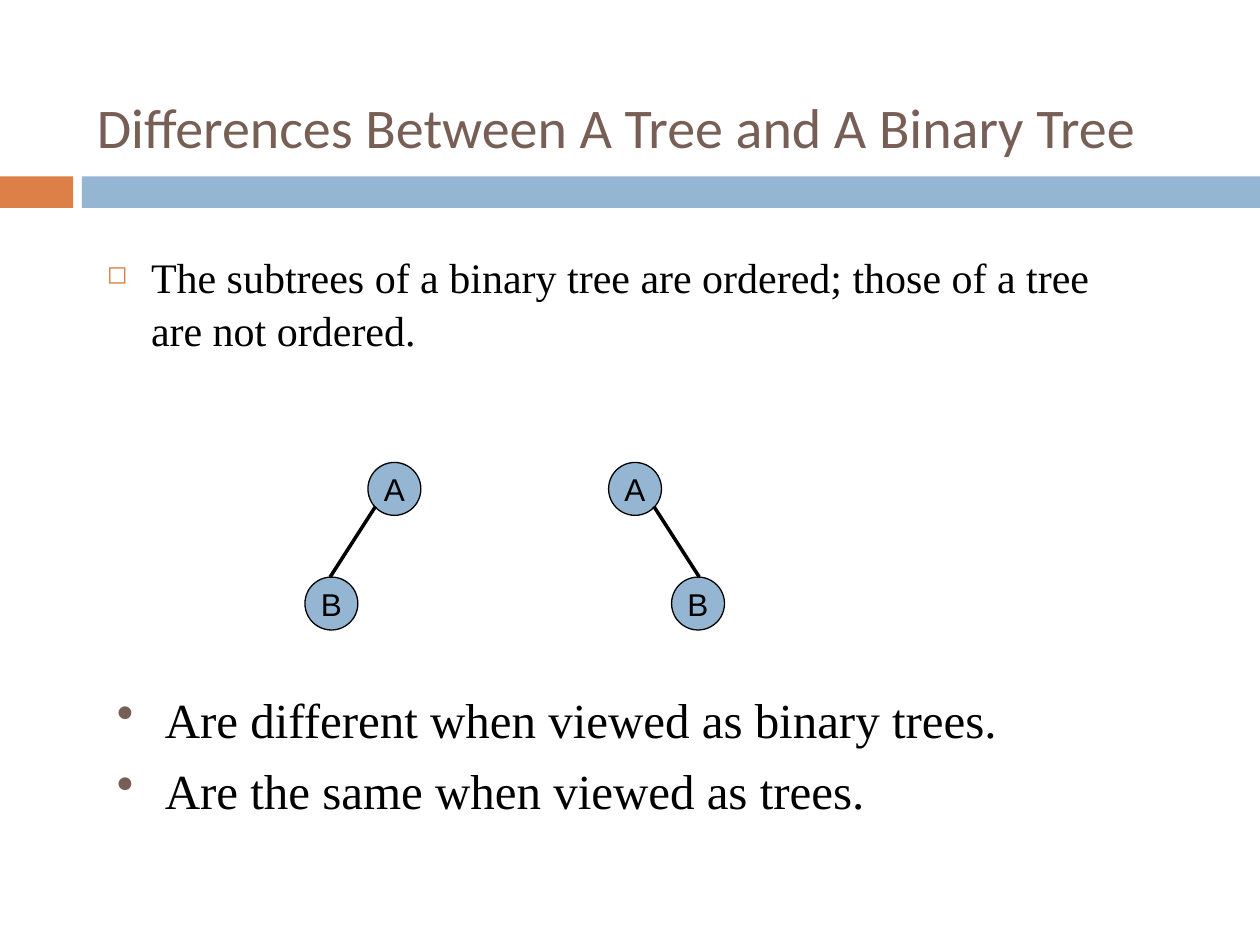
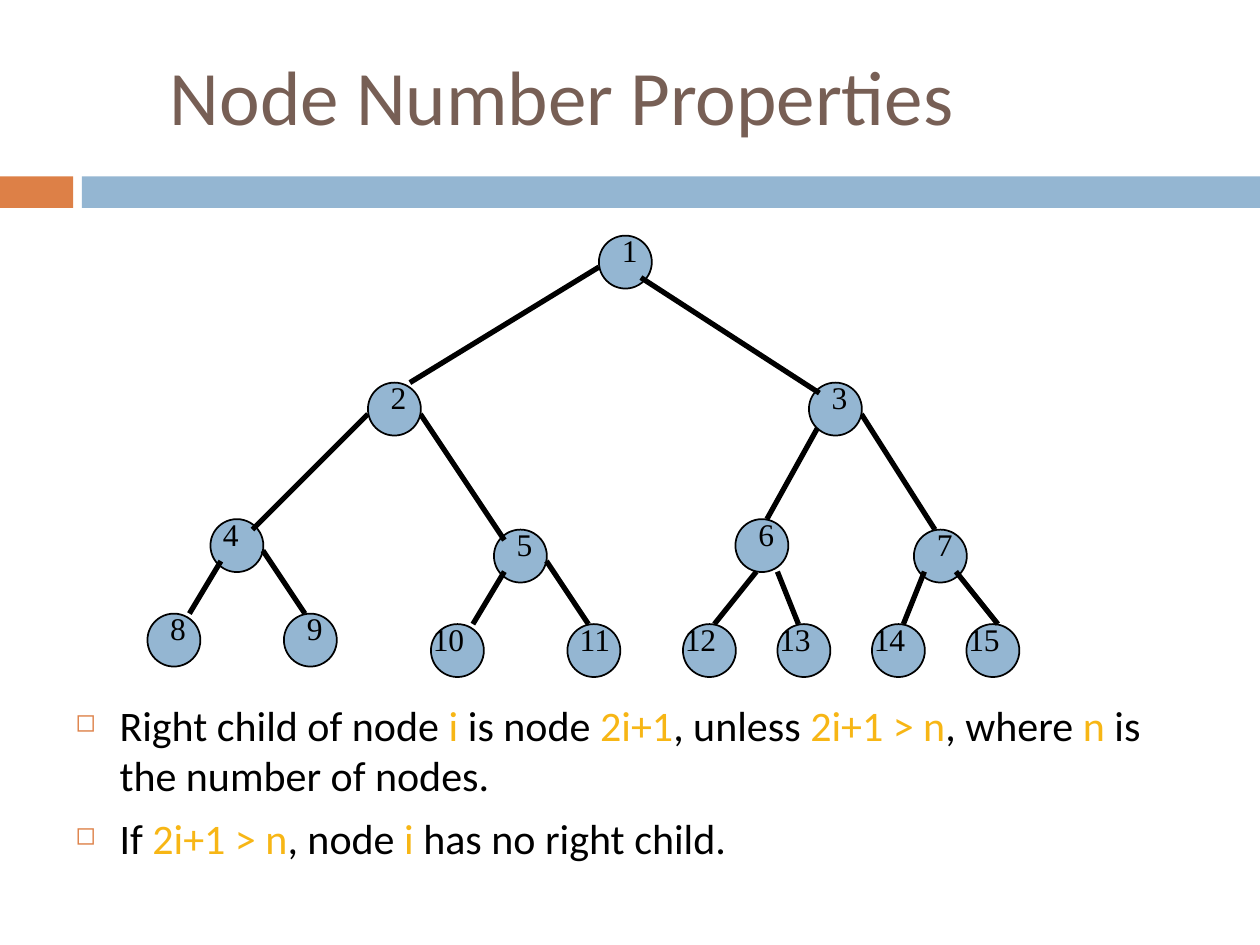
from lxml.etree import SubElement
from pptx import Presentation
from pptx.dml.color import RGBColor
from pptx.enum.shapes import MSO_CONNECTOR, MSO_SHAPE
from pptx.enum.text import MSO_ANCHOR, PP_ALIGN
from pptx.oxml.ns import qn
from pptx.util import Inches, Pt

BLACK = RGBColor(0x00, 0x00, 0x00)
BROWN = RGBColor(0x77, 0x5F, 0x55)
ORANGE = RGBColor(0xDD, 0x80, 0x47)
BLUE = RGBColor(0x94, 0xB6, 0xD2)
GOLD = RGBColor(0xF7, 0xB6, 0x15)
SANS, SERIF, NODE_FONT = "Calibri", "Times New Roman", "Arial"

NODE_SIZE = 0.42
GRID = 1 / 12  # the numbered tree sits on a grid of twelfths of an inch

# Left and top of each numbered node, in grid steps
TREE_NODES = {
    1: (43, 0), 2: (21, 14), 3: (63, 14),
    4: (6, 27), 5: (33, 28), 6: (56, 27), 7: (73, 28),
    8: (0, 36), 9: (13, 36), 10: (27, 37), 11: (40, 37),
    12: (51, 37), 13: (60, 37), 14: (69, 37), 15: (78, 37),
}
# Start and end of the edge that leads to each child, in grid steps
TREE_EDGES = {
    2: (43, 3, 25, 14), 3: (47, 4, 64, 15),
    4: (21, 17, 10, 28), 5: (26, 17, 34, 29),
    6: (64, 18, 59, 27), 7: (68, 17, 75, 28),
    8: (7, 31, 4, 36), 9: (11, 30, 15, 36),
    10: (34, 32, 31, 37), 11: (38, 31, 42, 37),
    12: (58, 32, 54, 37), 13: (60, 32, 62, 37),
    14: (74, 32, 72, 37), 15: (77, 32, 81, 37),
}
# Levels from back to front
DRAWING_ORDER = (range(4, 8), range(1, 4), range(8, 16))
LABELS_AT_NODE_LEFT = (4, 11)


def add_bullet(para, char, color, indent, percent):
    properties = para._p.get_or_add_pPr()
    properties.set("marL", str(Inches(indent)))
    properties.set("indent", str(-Inches(indent)))
    bullet_color = SubElement(properties, qn("a:buClr"))
    SubElement(bullet_color, qn("a:srgbClr"), val=str(color))
    SubElement(properties, qn("a:buSzPct"), val=str(percent * 1000))
    SubElement(properties, qn("a:buChar"), char=char)


def write(frame, *texts, font=SANS, size=24, color=BLACK, bullet=None,
          gap=0, line_spacing=None, align=None):
    """Write one paragraph per text; parts between asterisks turn gold."""
    for index, text in enumerate(texts):
        para = frame.add_paragraph() if index else frame.paragraphs[0]
        if bullet:
            add_bullet(para, **bullet)
        para.space_before = Pt(gap if index else 0)
        para.alignment = align
        if line_spacing:
            para.line_spacing = line_spacing
        for part, words in enumerate(text.split("*")):
            if not words:
                continue
            span = para.add_run()
            span.text = words
            span.font.name = font
            span.font.size = Pt(size)
            span.font.color.rgb = GOLD if part % 2 else color


def add_text(page, box, *texts, anchor=MSO_ANCHOR.TOP, **style):
    frame = page.shapes.add_textbox(*map(Inches, box)).text_frame
    frame.word_wrap = True
    frame.vertical_anchor = anchor
    write(frame, *texts, **style)


def add_plain_shape(page, kind, box, fill, line_width=None):
    shape = page.shapes.add_shape(kind, *map(Inches, box))
    shape.shadow.inherit = False
    shape.fill.solid()
    shape.fill.fore_color.rgb = fill
    if line_width:
        shape.line.color.rgb = BLACK
        shape.line.width = Pt(line_width)
    else:
        shape.line.fill.background()
    return shape


def add_node(page, left, top, line_width):
    box = (left, top, NODE_SIZE, NODE_SIZE)
    return add_plain_shape(page, MSO_SHAPE.OVAL, box, BLUE, line_width)


def add_edge(page, ends, width):
    edge = page.shapes.add_connector(MSO_CONNECTOR.STRAIGHT, *map(Inches, ends))
    edge.line.color.rgb = BLACK
    edge.line.width = Pt(width)
    SubElement(edge._element.spPr, qn("a:effectLst"))


def add_page(deck, title, title_box, title_size):
    """Add a slide with the two-part band and its title."""
    page = deck.slides.add_slide(deck.slide_layouts[6])
    for left, width, fill in ((0, 0.58, ORANGE), (0.65, 9.35, BLUE)):
        add_plain_shape(page, MSO_SHAPE.RECTANGLE, (left, 1.4, width, 0.25), fill)
    add_text(page, title_box, title, size=title_size, color=BROWN,
             anchor=MSO_ANCHOR.MIDDLE)
    return page


def add_two_node_tree(page, left, top, mirrored=False):
    """Draw A above its child B, which hangs left, or right if mirrored."""
    width = 0.92

    def place(offset, size=0):
        return left + (width - offset - size if mirrored else offset)

    for letter, offset, drop in (("A", 0.5, 0), ("B", 0, 0.91)):
        node = add_node(page, place(offset, NODE_SIZE), top + drop, 0.75)
        frame = node.text_frame
        frame.word_wrap = False
        frame.vertical_anchor = MSO_ANCHOR.MIDDLE
        write(frame, letter, font=NODE_FONT, size=18, align=PP_ALIGN.CENTER)
    add_edge(page, (place(0.56), top + 0.35, place(0.2), top + 0.91), 2)


def add_numbered_tree(page, left, top):
    def place(column, row):
        return left + column * GRID, top + row * GRID

    for level in DRAWING_ORDER:
        for number in level:
            add_node(page, *place(*TREE_NODES[number]), 1)
        for number in level:
            if number in TREE_EDGES:
                ends = TREE_EDGES[number]
                add_edge(page, place(*ends[:2]) + place(*ends[2:]), 3)
    for number, position in TREE_NODES.items():
        node_left, node_top = place(*position)
        shift, width = (GRID, 0.33) if number < 10 else (-GRID, 0.67)
        if number in LABELS_AT_NODE_LEFT:
            shift = 0
        add_text(page, (node_left + shift, node_top - GRID, width, 0.5),
                 str(number), font=SERIF, size=18)


def main():
    deck = Presentation()
    deck.slide_width, deck.slide_height = Inches(10), Inches(7.5)
    square = dict(char="◻", color=ORANGE, indent=0.35, percent=60)
    dot = dict(char="•", color=BROWN, indent=0.38, percent=100)

    page = add_page(deck, "Differences Between A Tree and A Binary Tree",
                    (0.67, 0.5, 9.33, 1), 32)
    add_text(page, (0.75, 1.92, 8.25, 1.33),
             "The subtrees of a binary tree are ordered; those of a tree "
             "are not ordered.",
             font=SERIF, bullet=square, line_spacing=1.06)
    add_text(page, (0.83, 5.42, 8.5, 1.33),
             "Are different when viewed as binary trees.",
             "Are the same when viewed as trees.",
             font=SERIF, size=28, bullet=dot, gap=7)
    add_two_node_tree(page, 2.42, 3.67)
    add_two_node_tree(page, 4.83, 3.67, mirrored=True)

    page = add_page(deck, "Node Number Properties", (1.25, 0.25, 8.5, 1), 44)
    add_text(page, (0.5, 5.5, 9.08, 1.75),
             "Right child of node *i *is node *2i+1*, unless *2i+1 > n*, "
             "where *n* is the number of nodes.",
             "If *2i+1 > n*, node* i* has no right child.",
             bullet=square, gap=7)
    add_numbered_tree(page, 1.17, 1.87)

    deck.save("out.pptx")


if __name__ == "__main__":
    main()
